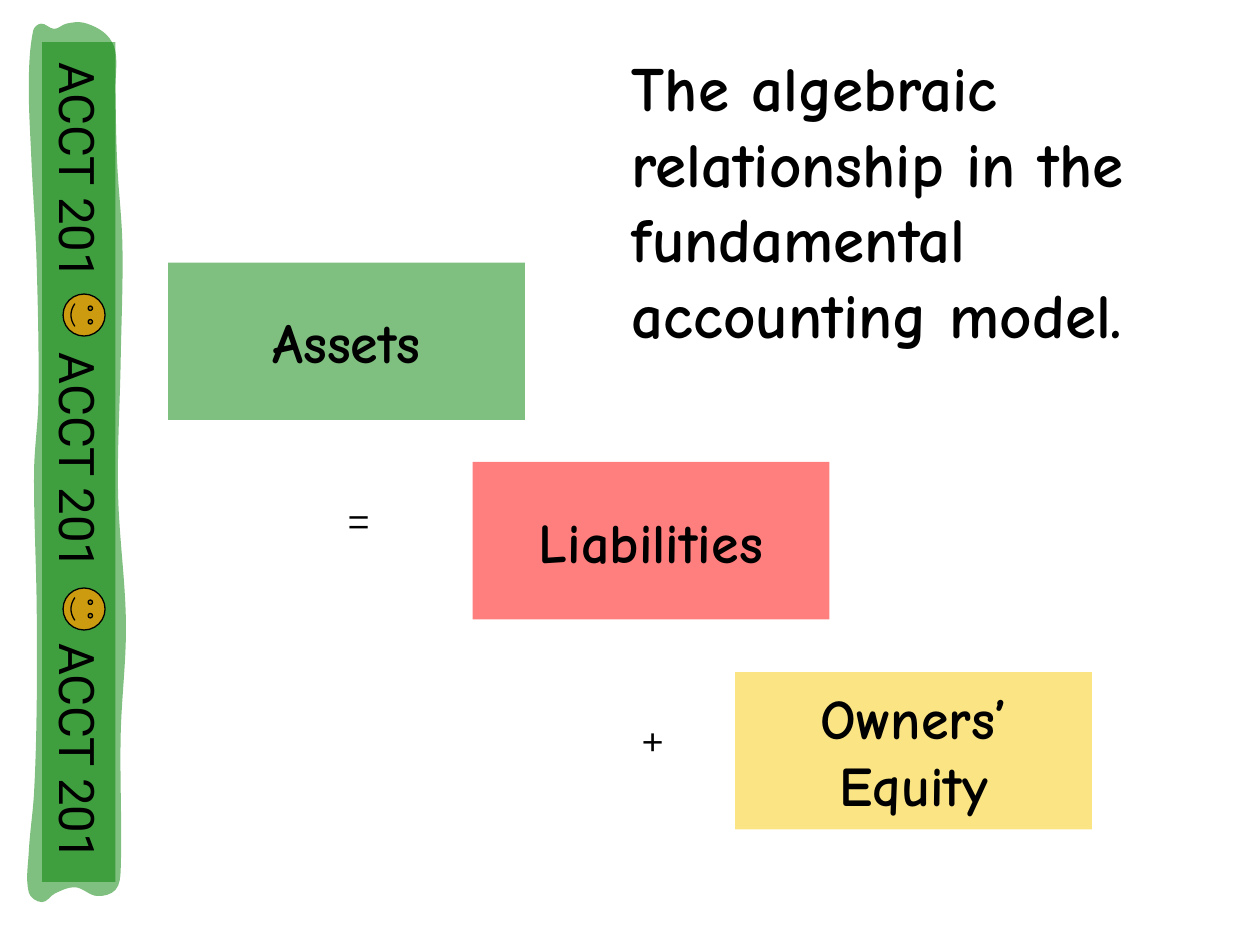
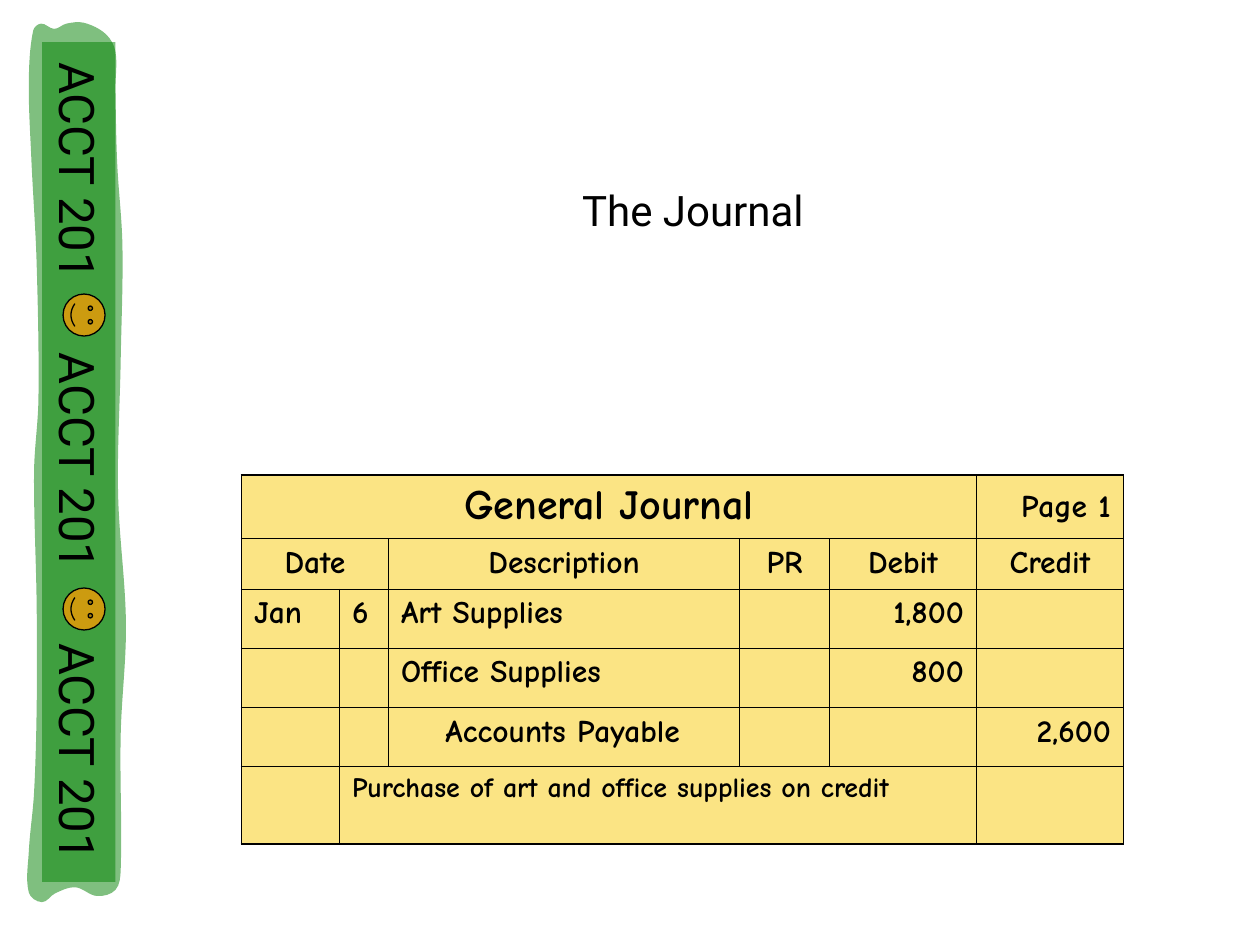
from math import hypot

from lxml import etree
from pptx import Presentation
from pptx.dml.color import RGBColor
from pptx.enum.shapes import MSO_SHAPE
from pptx.enum.text import MSO_ANCHOR, PP_ALIGN
from pptx.oxml.ns import qn
from pptx.util import Pt

RECT, SMILE = MSO_SHAPE.RECTANGLE, MSO_SHAPE.SMILEY_FACE
LEFT, CENTER, RIGHT = PP_ALIGN.LEFT, PP_ALIGN.CENTER, PP_ALIGN.RIGHT
TOP, MIDDLE = MSO_ANCHOR.TOP, MSO_ANCHOR.MIDDLE

BLACK = RGBColor(0x00, 0x00, 0x00)
GREEN = RGBColor(0x00, 0x80, 0x00)
RED = RGBColor(0xFF, 0x00, 0x00)
YELLOW = RGBColor(0xF8, 0xCB, 0x0A)
GOLD = RGBColor(0xCC, 0x9B, 0x10)

COMIC, ROBOTO, MONT = "Comic Neue", "Roboto", "Montserrat"

# Knots of the wavy brush stroke behind the side band
WAVE = [
    (21, 404), (21, 346), (19.5, 270), (22, 228), (21, 151), (18, 91.5),
    (16.5, 47), (19, 17.5), (23.5, 13.5), (31, 16.5), (38, 13.5), (48, 13),
    (60.5, 19.5), (66, 29.5), (66, 51), (67, 93), (70, 140.5), (69, 206),
    (67.5, 281.5), (72, 356.5), (69, 420), (69, 497), (66, 508.5),
    (55.5, 512), (43, 507), (31.5, 510.5), (24, 515.5), (16.5, 510),
    (16.5, 486.5), (19.5, 453),
]
COURSE, PITCH = "ACCT 201", 166

# Journal table: widths, heights, and cells as (row, col, span, text, align)
COLS = [56, 28, 200.75, 51.25, 84, 84]
ROWS = [36.25, 29, 33.75, 33.75, 33.75, 44.25]
CELLS = [
    (0, 0, 5, "General Journal", CENTER), (0, 5, 1, "Page 1", RIGHT),
    (1, 0, 2, "Date", CENTER), (1, 2, 1, "Description", CENTER),
    (1, 3, 1, "PR", CENTER), (1, 4, 1, "Debit", CENTER),
    (1, 5, 1, "Credit", CENTER),
    (2, 0, 1, "Jan", LEFT), (2, 1, 1, "6", LEFT),
    (2, 2, 1, "Art Supplies", LEFT), (2, 4, 1, "1,800", RIGHT),
    (3, 2, 1, "Office Supplies", LEFT), (3, 4, 1, "800", RIGHT),
    (4, 2, 1, "Accounts Payable", LEFT), (4, 5, 1, "2,600", RIGHT),
    (5, 1, 4, "Purchase of art and office supplies on credit", LEFT),
]
SIZES = {0: 24, 5: 16}


def tint(fill, color):
    """Fill with a half-transparent colour."""
    fill.solid()
    fill.fore_color.rgb = color
    tone = fill._xPr.find(qn("a:solidFill"))[0]
    etree.SubElement(tone, qn("a:alpha")).set("val", "50000")


def write(frame, text, font, size, align=LEFT, bold=False, before=0):
    """Put one styled run in the first paragraph and return the paragraph."""
    frame.word_wrap = True
    para = frame.paragraphs[0]
    para.alignment = align
    para.space_before = Pt(before)
    run = para.add_run()
    run.text = text
    run.font.name, run.font.size, run.font.bold = font, Pt(size), bold
    run.font.color.rgb = BLACK
    return para


def add_shape(shapes, kind, x, y, w, h, turn=0):
    shape = shapes.add_shape(kind, Pt(x), Pt(y), Pt(w), Pt(h))
    shape.shadow.inherit = False
    shape.line.fill.background()
    shape.rotation = turn
    return shape


def add_box(slide, x, y, color, text):
    box = add_shape(slide.shapes, RECT, x, y, 204, 90)
    tint(box.fill, color)
    box.text_frame.vertical_anchor = MIDDLE
    write(box.text_frame, text, COMIC, 32, CENTER, True)


def add_text(slide, x, y, w, h, text, font, size, anchor=TOP, **style):
    box = slide.shapes.add_textbox(Pt(x), Pt(y), Pt(w), Pt(h))
    box.text_frame.vertical_anchor = anchor
    write(box.text_frame, text, font, size, **style)


def add_sign(slide, x, y, text):
    """Centre an operator on a point."""
    add_text(slide, x - 24, y - 24, 48, 48, text, MONT, 24, MIDDLE, align=CENTER)


def curve(shape):
    """Turn the sides of a closed outline into smooth curves."""
    lines = list(shape._element.iter(qn("a:lnTo")))
    knots = [(int(line[0].get("x")), int(line[0].get("y"))) for line in lines]
    count = len(knots)

    def aim(i):
        (ax, ay), (bx, by) = knots[i - 1], knots[(i + 1) % count]
        size = hypot(bx - ax, by - ay)
        return (bx - ax) / size, (by - ay) / size

    for i, line in enumerate(lines):
        (ax, ay), (bx, by) = knots[i - 1], knots[i]
        (ux, uy), (vx, vy) = aim(i - 1 if i else count - 1), aim(i)
        reach = hypot(bx - ax, by - ay) / 3
        line.tag = qn("a:cubicBezTo")
        handles = [(ax + ux * reach, ay + uy * reach),
                   (bx - vx * reach, by - vy * reach)]
        for place, (x, y) in enumerate(handles):
            point = etree.Element(qn("a:pt"))
            point.set("x", str(round(x)))
            point.set("y", str(round(y)))
            line.insert(place, point)


def add_band(slide):
    """Side band with course name and two smileys."""
    shapes = slide.shapes.add_group_shape().shapes

    # Brush stroke, drawn in hundredths of a point
    knots = [(x * 100, y * 100) for x, y in WAVE]
    pen = shapes.build_freeform(*knots[0], scale=Pt(1) / 100)
    pen.add_line_segments(knots[1:] + knots[:1], close=True)
    wave = pen.convert_to_shape()
    curve(wave)
    wave.shadow.inherit = False
    wave.line.fill.background()
    tint(wave.fill, GREEN)

    # Turned bar, its names set on even tab stops
    bar = add_shape(shapes, RECT, -195, 243, 480, 42, 90)
    tint(bar.fill, GREEN)
    frame = bar.text_frame
    frame.margin_left, frame.vertical_anchor = Pt(11.6), MIDDLE
    para = write(frame, "\t".join([COURSE] * 3), ROBOTO, 28, before=7)
    tabs = etree.SubElement(para._p.get_or_add_pPr(), qn("a:tabLst"))
    for i in (1, 2):
        tab = etree.SubElement(tabs, qn("a:tab"))
        tab.set("pos", str(Pt(PITCH * i)))
        tab.set("algn", "l")

    # Smileys
    for y in (168, 336):
        face = add_shape(shapes, SMILE, 36, y, 24, 24, 90)
        face.fill.solid()
        face.fill.fore_color.rgb = GOLD
        face.line.color.rgb = BLACK
        face.line.width = Pt(0.75)


def add_edges(cell, edges):
    """Draw cell borders; edges maps side to True for the outer frame."""
    props = cell._tc.get_or_add_tcPr()
    for side, outer in edges.items():
        line = etree.SubElement(props, qn("a:ln" + side))
        line.set("w", str(Pt(1.08 if outer else 0.45)))
        fill = etree.SubElement(line, qn("a:solidFill"))
        etree.SubElement(fill, qn("a:srgbClr")).set("val", str(BLACK))


def add_journal(slide):
    rows, cols = len(ROWS), len(COLS)
    frame = slide.shapes.add_table(
        rows, cols, Pt(138), Pt(271.5), Pt(sum(COLS)), Pt(sum(ROWS)))
    table = frame.table
    table.first_row = table.horz_banding = False
    for col, width in zip(table.columns, COLS):
        col.width = Pt(width)
    for row, height in zip(table.rows, ROWS):
        row.height = Pt(height)

    # Borders and fill
    for r in range(rows):
        for c in range(cols):
            cell = table.cell(r, c)
            add_edges(cell, {"L": c == 0, "R": c == cols - 1,
                             "T": r == 0, "B": r == rows - 1})
            tint(cell.fill, YELLOW)

    # Entries
    for r, c, span, text, align in CELLS:
        cell = table.cell(r, c)
        if span > 1:
            cell.merge(table.cell(r, c + span - 1))
        size = SIZES.get(r, 18) if span > 1 else 18
        write(cell.text_frame, text, COMIC, size, align, True, size / 4)
    table.cell(0, 5).vertical_anchor = MIDDLE
    credit = table.cell(4, 2).text_frame.paragraphs[0]
    credit._p.get_or_add_pPr().set("marL", str(Pt(25.4)))


def add_model(slide):
    """Accounting equation."""
    add_box(slide, 96, 150, GREEN, "Assets")
    add_box(slide, 270, 264, RED, "Liabilities")
    add_box(slide, 420, 384, YELLOW, "Owners’ Equity")
    add_sign(slide, 205, 297.7, "=")
    add_sign(slide, 373, 423.4, "+")
    add_text(slide, 354, 24.2, 378, 180,
             "The algebraic relationship in the fundamental accounting model.",
             COMIC, 36, bold=True, before=22.5)


def main():
    deck = Presentation()
    deck.slide_width, deck.slide_height = Pt(720), Pt(540)
    blank = deck.slide_layouts[6]

    # Slide 1: the model
    model = deck.slides.add_slide(blank)
    add_model(model)
    add_band(model)

    # Slide 2: the journal
    journal = deck.slides.add_slide(blank)
    add_text(journal, 108, 102, 576, 120, "The Journal", ROBOTO, 24, align=CENTER)
    add_band(journal)
    add_journal(journal)

    deck.save("out.pptx")


if __name__ == "__main__":
    main()
